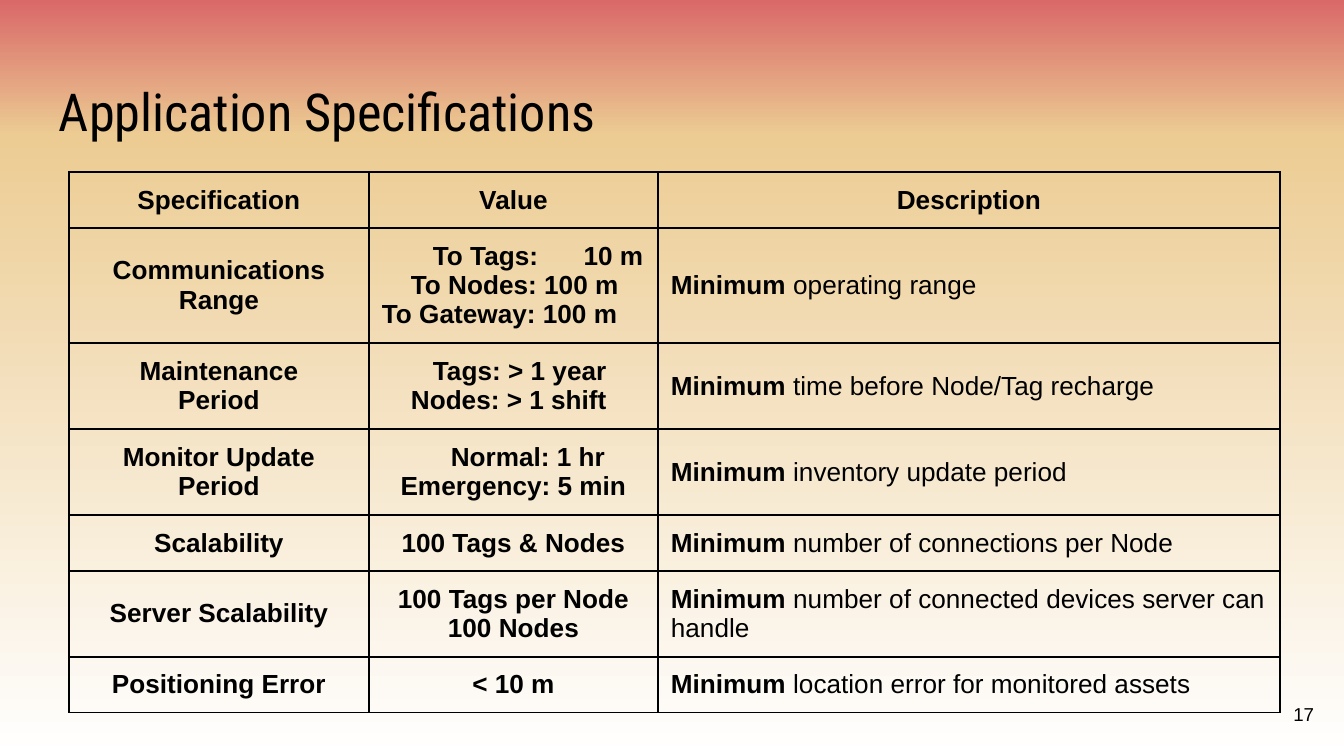
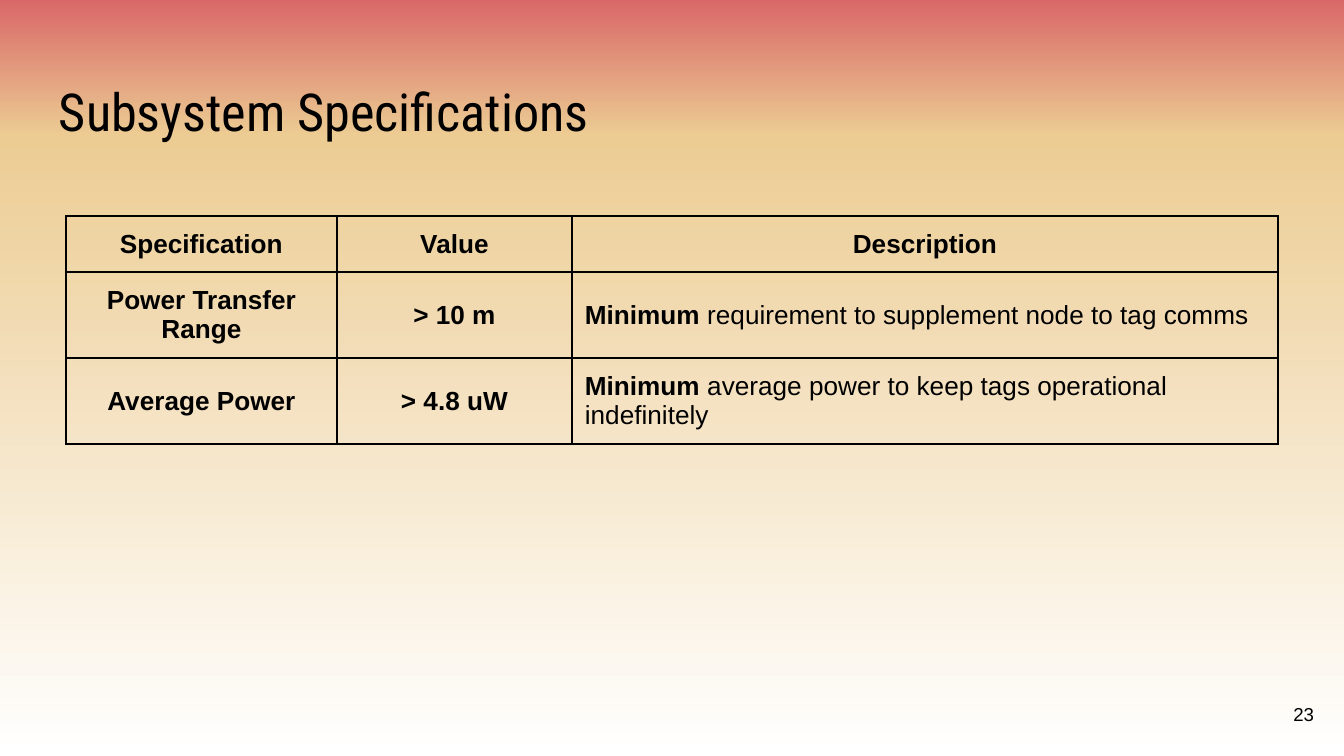
from lxml import etree
from pptx import Presentation
from pptx.dml.color import RGBColor
from pptx.enum.text import MSO_ANCHOR, MSO_AUTO_SIZE, PP_ALIGN
from pptx.oxml.ns import qn
from pptx.util import Pt

LEFT, CENTER, RIGHT = PP_ALIGN.LEFT, PP_ALIGN.CENTER, PP_ALIGN.RIGHT
TOP, MIDDLE = MSO_ANCHOR.TOP, MSO_ANCHOR.MIDDLE
NO_AUTOFIT = MSO_AUTO_SIZE.NONE

EMU_PER_PX = 914400 / 134.4
SLIDE_WIDTH, SLIDE_HEIGHT = 1344, 756
INSET = 13
TITLE_BOX = (46, 66, 1253, 85)
NUMBER_BOX = (1246, 685, 81, 58)
TITLE_FONT, BODY_FONT = "Roboto Condensed", "Arial"
BLACK = "000000"
BACKGROUND_STOPS = [(0, "D96868"), (18, "ECCC93"), (100, "FFFFFF")]
ROW_HEIGHTS = {1: 56, 2: 86, 3: 115}
VALUE_TAB = 178
HEADINGS = ["Specification", "Value", "Description"]

APPLICATION_ROWS = [
    (["Communications", "Range"],
     [("To Tags:\t10 m", 51, LEFT), ("To Nodes: 100 m", 29, LEFT), ("To Gateway: 100 m", 0, LEFT)],
     "operating range", 3),
    (["Maintenance", "Period"],
     [("Tags: > 1 year", 51, LEFT), ("Nodes: > 1 shift", 29, LEFT)],
     "time before Node/Tag recharge", 2),
    (["Monitor Update Period"],
     [("Normal: 1 hr", 29, CENTER), ("Emergency: 5 min", 0, CENTER)],
     "inventory update period", 2),
    (["Scalability"], [("100 Tags & Nodes", 0, CENTER)],
     "number of connections per Node", 1),
    (["Server Scalability"],
     [("100 Tags per Node", 0, CENTER), ("100 Nodes", 0, CENTER)],
     "number of connected devices server can handle", 2),
    (["Positioning Error"], [("< 10 m", 0, CENTER)],
     "location error for monitored assets", 1),
]
SUBSYSTEM_ROWS = [
    (["Power Transfer Range"], [("> 10 m", 0, CENTER)],
     "requirement to supplement node to tag comms", 2),
    (["Average Power"], [("> 4.8 uW", 0, CENTER)],
     "average power to keep tags operational indefinitely", 2),
]


def px(length):
    """Turn pixels into EMU."""
    return round(length * EMU_PER_PX)


def color(hex_string):
    """Turn a hex string into a colour."""
    return RGBColor.from_string(hex_string)


def add_run(paragraph, text, size, font=BODY_FONT, bold=False):
    """Add one formatted run to a paragraph."""
    run = paragraph.add_run()
    run.text = text
    run.font.name, run.font.size, run.font.bold = font, Pt(size), bold
    run.font.color.rgb = color(BLACK)


def set_insets(holder):
    """Give a cell or text frame the shared inner margins."""
    holder.margin_left = holder.margin_right = px(INSET)
    holder.margin_top = holder.margin_bottom = px(INSET)


def set_background(master):
    """Give the master the vertical gradient that all slides share."""
    fill = master.background.fill
    fill.gradient()
    fill.gradient_angle = 270
    stop_list = next(master.element.iter(qn("a:gsLst")))
    for stop in list(stop_list):
        stop_list.remove(stop)
    for percent, hex_string in BACKGROUND_STOPS:
        stop = etree.SubElement(stop_list, qn("a:gs"), pos=str(percent * 1000))
        etree.SubElement(stop, qn("a:srgbClr"), val=hex_string)


def place_title(slide, box, text):
    """Move the title placeholder into its box and write the title."""
    title = slide.shapes.title
    title.left, title.top, title.width, title.height = map(px, box)
    frame = title.text_frame
    frame.auto_size, frame.vertical_anchor, frame.word_wrap = NO_AUTOFIT, TOP, True
    set_insets(frame)
    paragraph = frame.paragraphs[0]
    paragraph.alignment = LEFT
    add_run(paragraph, text, 28, TITLE_FONT)


def add_number(slide, box, number):
    """Add the slide number, right-aligned in its box."""
    frame = slide.shapes.add_textbox(*map(px, box)).text_frame
    frame.word_wrap, frame.vertical_anchor = True, MIDDLE
    set_insets(frame)
    paragraph = frame.paragraphs[0]
    paragraph.alignment = RIGHT
    add_run(paragraph, str(number), 10)


def format_cell(cell):
    """Give a cell black borders, no fill and middle anchoring."""
    set_insets(cell)
    cell.vertical_anchor = MIDDLE
    properties = cell._tc.get_or_add_tcPr()
    for side in ("lnL", "lnR", "lnT", "lnB"):
        line = etree.SubElement(properties, qn(f"a:{side}"), w=str(Pt(0.75)))
        fill = etree.SubElement(line, qn("a:solidFill"))
        etree.SubElement(fill, qn("a:srgbClr"), val=BLACK)
    cell.fill.background()


def write_lines(cell, lines):
    """Write bold (text, first-line indent, alignment) lines into a cell."""
    frame = cell.text_frame
    for index, (text, indent, alignment) in enumerate(lines):
        paragraph = frame.add_paragraph() if index else frame.paragraphs[0]
        paragraph.alignment = alignment
        properties = paragraph._p.get_or_add_pPr()
        if indent:
            properties.set("marL", "0")
            properties.set("indent", str(px(indent)))
        if "\t" in text:
            tabs = etree.SubElement(properties, qn("a:tabLst"))
            etree.SubElement(tabs, qn("a:tab"), pos=str(px(VALUE_TAB)), algn="l")
        add_run(paragraph, text, 14, bold=True)


def write_description(cell, text):
    """Write a description after its bold lead word."""
    paragraph = cell.text_frame.paragraphs[0]
    paragraph.alignment = LEFT
    add_run(paragraph, "Minimum", 14, bold=True)
    add_run(paragraph, f" {text}", 14)


def add_specification_table(slide, left, top, widths, rows):
    """Add a table of specifications with its heading row."""
    heights = [ROW_HEIGHTS[count] for count in [1] + [row[3] for row in rows]]
    box = (left, top, sum(widths), sum(heights))
    table = slide.shapes.add_table(len(heights), len(widths), *map(px, box)).table
    table.first_row = table.horz_banding = False
    for column, width in zip(table.columns, widths):
        column.width = px(width)
    for row, height in zip(table.rows, heights):
        row.height = px(height)
    for cell in table.iter_cells():
        format_cell(cell)
    for index, heading in enumerate(HEADINGS):
        write_lines(table.cell(0, index), [(heading, 0, CENTER)])
    for index, (names, values, description, _) in enumerate(rows, 1):
        write_lines(table.cell(index, 0), [(name, 0, CENTER) for name in names])
        write_lines(table.cell(index, 1), values)
        write_description(table.cell(index, 2), description)


def add_specification_slide(presentation, title, number, left, top, widths, rows):
    """Add a slide with a title, a specification table and a number."""
    slide = presentation.slides.add_slide(presentation.slide_layouts[5])
    place_title(slide, TITLE_BOX, title)
    add_specification_table(slide, left, top, widths, rows)
    add_number(slide, NUMBER_BOX, number)


def main():
    """Build and save the presentation."""
    presentation = Presentation()
    presentation.slide_width = px(SLIDE_WIDTH)
    presentation.slide_height = px(SLIDE_HEIGHT)
    set_background(presentation.slide_master)
    add_specification_slide(presentation, "Application Specifications", 17,
                            69, 172, [300, 289, 622], APPLICATION_ROWS)
    add_specification_slide(presentation, "Subsystem Specifications", 23,
                            66, 216, [271, 235, 706], SUBSYSTEM_ROWS)
    presentation.save("out.pptx")


if __name__ == "__main__":
    main()
